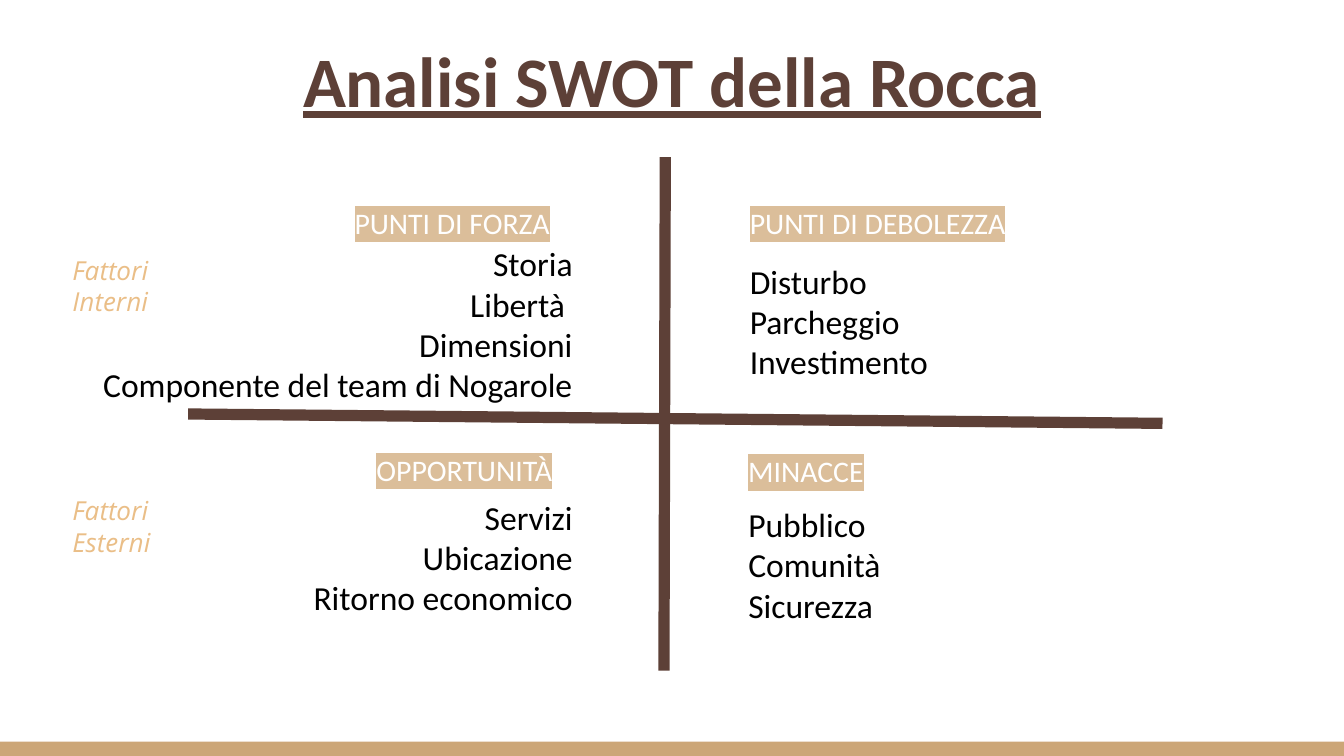
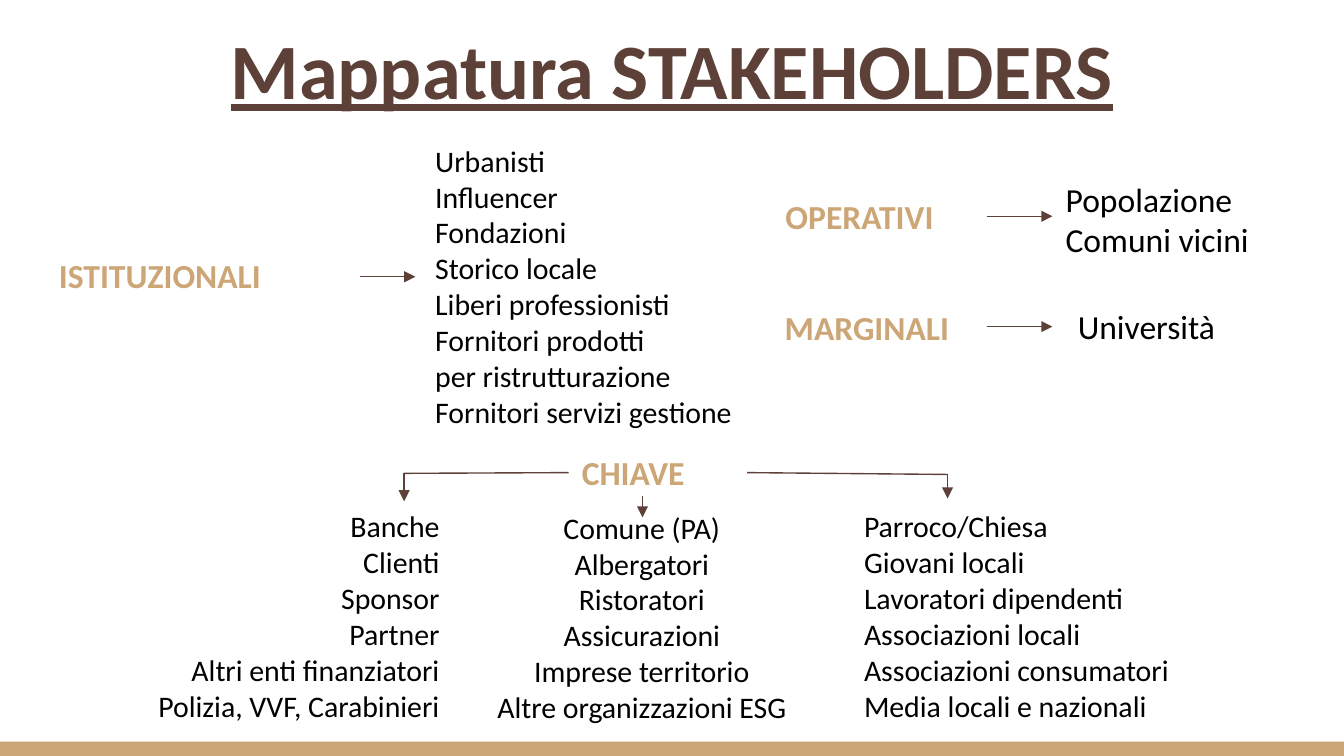
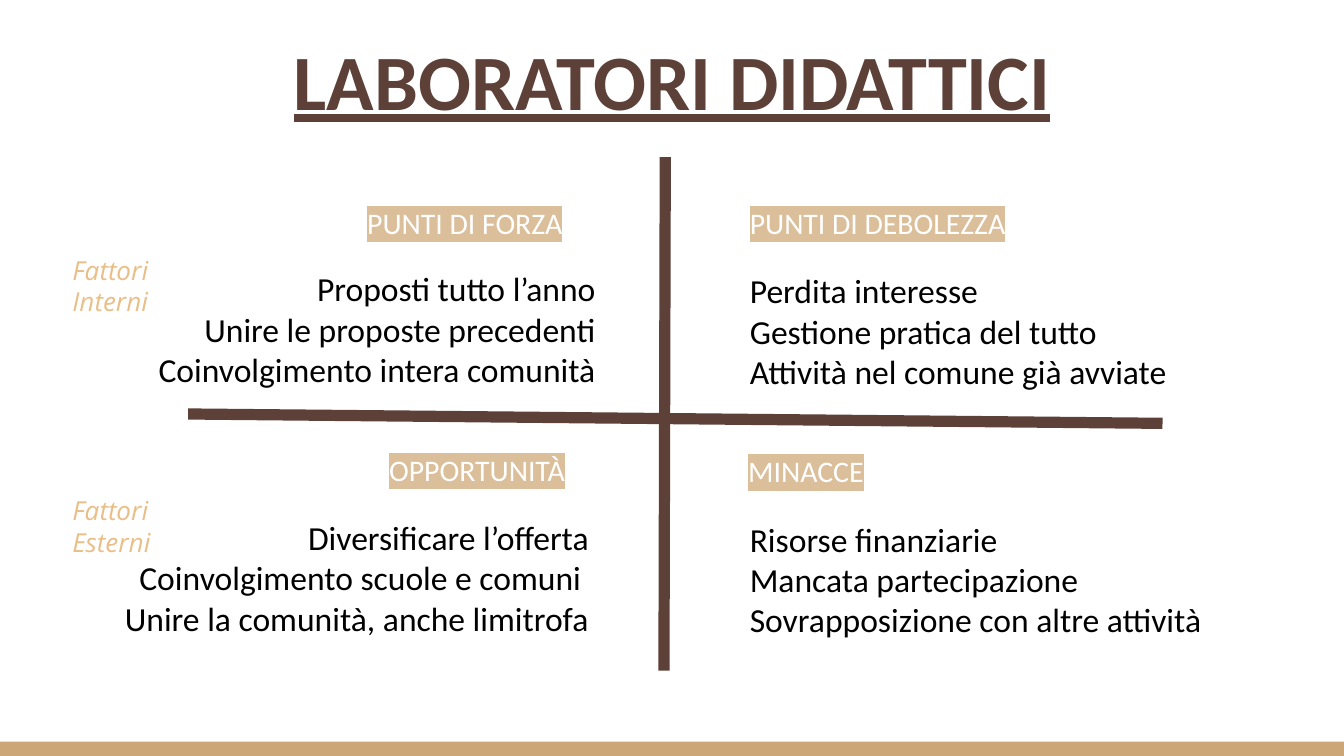
from pptx import Presentation
from pptx.util import Pt
from pptx.dml.color import RGBColor as Rgb
from pptx.enum.shapes import MSO_SHAPE as Shape, MSO_CONNECTOR as Link
from pptx.enum.text import PP_ALIGN as Align, MSO_ANCHOR as Anchor
from pptx.oxml.ns import qn
from lxml.etree import SubElement as Sub, Element

WIDE, HIGH = 720, 405
BROWN, GOLD, SAND, PEACH = "5D4037", "CCA677", "DBBE9A", "EABE87"
SIDES = {"l": Align.LEFT, "c": Align.CENTER, "r": Align.RIGHT}
ROWS = {"t": Anchor.TOP, "m": Anchor.MIDDLE, "b": Anchor.BOTTOM}

LOOKS = {
    "title": (BROWN, {"name": "Calibri", "size": Pt(42), "bold": True, "underline": True}),
    "small title": (BROWN, {"name": "Calibri", "size": Pt(38), "bold": True, "underline": True}),
    "label": ("FFFFFF", {"name": "Calibri", "size": Pt(16)}),
    "factor": (PEACH, {"name": "Open Sans", "size": Pt(14), "italic": True}),
    "group": (GOLD, {"name": "Calibri", "size": Pt(18), "bold": True}),
    "item": ("000000", {"name": "Calibri", "size": Pt(18)}),
    "name": ("000000", {"name": "Calibri", "size": Pt(16)}),
}
MARKS = {"label": SAND}

CROSS = [((356.4, 84.2), (355.7, 359.3)), ((100.8, 221.8), (622.8, 226.8))]
FACTORS = [
    (["Fattori", "Interni"], (31.7, 128.9, 71.3, 56.2)),
    (["Fattori", "Esterni"], (31.7, 257.8, 61.2, 56.2)),
]
LABELS = [
    ("PUNTI DI FORZA", (162.7, 102.2, 159.1, 35.3), "c"),
    ("OPPORTUNITÀ", (178.6, 234.7, 140.4, 23), "c"),
    ("PUNTI DI DEBOLEZZA", (394.6, 102.2, 218.9, 30.2), "l"),
    ("MINACCE", (393.8, 235.4, 124.6, 27.4), "l"),
]

ROCCA = {
    "title": "Analisi SWOT della Rocca", "look": "small title", "shift": 0,
    "parts": [
        (["Storia", "Libertà ", "Dimensioni", "Componente del team di Nogarole"],
         (8.6, 133.9, 305.3, 79.2), "r", "m"),
        (["Servizi", "Ubicazione", "Ritorno economico"],
         (108, 265.7, 205.9, 65.5), "r", "m"),
        (["Disturbo", "Parcheggio", "Investimento"],
         (394.6, 132.5, 129.6, 72), "l", "t"),
        (["Pubblico", "Comunità", "Sicurezza"],
         (393.8, 262.8, 104.4, 72), "l", "t"),
    ],
}
LABS = {
    "title": "LABORATORI DIDATTICI", "look": "title", "shift": 6.8,
    "parts": [
        (["Proposti tutto l’anno", "Unire le proposte precedenti",
          "Coinvolgimento intera comunità"],
         (41.8, 132.5, 284.4, 87.1), "r", "m"),
        (["Diversificare l’offerta", "Coinvolgimento scuole e comuni ",
          "Unire la comunità, anche limitrofa"],
         (24.5, 265.7, 298.1, 87.1), "r", "m"),
        (["Perdita interesse", "Gestione pratica del tutto",
          "Attività nel comune già avviate"],
         (394.6, 137.5, 284.4, 87.1), "l", "t"),
        (["Risorse finanziarie", "Mancata partecipazione",
          "Sovrapposizione con altre attività"],
         (394.6, 270.7, 290.9, 72), "l", "t"),
    ],
}

GROUPS = [
    (["ISTITUZIONALI"], (24.5, 129.6, 164.9, 36.7), "group", "l", "t"),
    (["OPERATIVI"], (392.4, 96.5, 136.1, 38.9), "group", "c", "m"),
    (["MARGINALI"], (400.3, 157, 128.2, 36.7), "group", "c", "t"),
    (["CHIAVE"], (304.6, 234.7, 95.8, 36.7), "group", "l", "t"),
    (["Popolazione", "Comuni vicini"], (563.8, 88.6, 139, 55.4), "item", "l", "t"),
    (["Università"], (563.8, 159.1, 100.8, 31.7), "item", "c", "m"),
    (["Urbanisti", "Influencer", "Fondazioni", "Storico locale",
      "Liberi professionisti", "Fornitori prodotti", "per ristrutturazione",
      "Fornitori servizi gestione"], (226.1, 69.1, 211, 162), "name", "l", "t"),
    (["Banche", "Clienti", "Sponsor", "Partner", "Altri enti finanziatori",
      "Polizia, VVF, Carabinieri"], (48.2, 265, 194.4, 138.2), "name", "r", "t"),
    (["Comune (PA)", "Albergatori", "Ristoratori", "Assicurazioni",
      "Imprese territorio", "Altre organizzazioni ESG"],
     (232.6, 265.7, 222.5, 136.1), "name", "c", "t"),
    (["Parroco/Chiesa", "Giovani locali", "Lavoratori dipendenti",
      "Associazioni locali", "Associazioni consumatori",
      "Media locali e nazionali"], (455.8, 265, 205.9, 127.4), "name", "l", "t"),
]
ARROWS = [
    ((193, 148.3), (222.5, 148.3)),
    ((528.5, 115.9), (563.8, 115.9)),
    ((528.5, 175), (563.8, 175)),
    ((216.5, 253.6), (216.5, 268.6)),
    ((344.2, 265.7), (344.2, 277.2)),
    ((507.6, 254.2), (507.6, 267.1)),
]
ARMS = [((304.6, 253.2), (216.5, 253.6)), ((400.3, 253.2), (507.6, 254.2))]


def tint(code):
    return Rgb.from_string(code)


def write(slide, lines, box, look, side="l", row="t"):
    frame = slide.shapes.add_textbox(*map(Pt, box)).text_frame
    form = {"word_wrap": True, "vertical_anchor": ROWS[row]}
    form.update({"margin_" + edge: Pt(7.2) for edge in ("left", "right", "top", "bottom")})
    for key, val in form.items():
        setattr(frame, key, val)
    color, font = LOOKS[look]
    for i, line in enumerate(lines):
        para = frame.add_paragraph() if i else frame.paragraphs[0]
        para.alignment = SIDES[side]
        run = para.add_run()
        run.text = line
        for key, val in font.items():
            setattr(run.font, key, val)
        run.font.color.rgb = tint(color)
        if look in MARKS:
            mark = Element(qn("a:highlight"))
            Sub(mark, qn("a:srgbClr"), val=MARKS[look])
            run.font._element.find(qn("a:solidFill")).addnext(mark)


def draw(slide, start, end, width, head=False):
    link = slide.shapes.add_connector(Link.STRAIGHT, *map(Pt, start + end))
    link.line.color.rgb = tint(BROWN)
    link.line.width = Pt(width)
    if head:
        Sub(link.line._get_or_add_ln(), qn("a:tailEnd"), type="triangle")
    Sub(link._element.spPr, qn("a:effectLst"))


def start(deck, title, look, top=9.4, row="m"):
    slide = deck.slides.add_slide(deck.slide_layouts[6])
    band = slide.shapes.add_shape(Shape.RECTANGLE, 0, Pt(HIGH - 7.6), Pt(WIDE), Pt(7.6))
    band.shadow.inherit = False
    band.fill.solid()
    band.fill.fore_color.rgb = tint(GOLD)
    band.line.fill.background()
    write(slide, [title], (24.5, top, WIDE - 49, 65.5), look, "c", row)
    return slide


def swot(deck, data):
    slide = start(deck, data["title"], data["look"])
    for ends in CROSS:
        draw(slide, *ends, 6)
    for lines, box, side, row in data["parts"]:
        write(slide, lines, box, "item", side, row)
    for text, (left, *rest), side in LABELS:
        move = data["shift"] if side == "c" else 0
        write(slide, [text], (left + move, *rest), "label", side)
    for lines, box in FACTORS:
        write(slide, lines, box, "factor")


def chart(deck):
    slide = start(deck, "Mappatura STAKEHOLDERS", "title", 3.6, "b")
    for group in GROUPS:
        write(slide, *group)
    for ends in ARMS:
        draw(slide, *ends, 0.75)
    for ends in ARROWS:
        draw(slide, *ends, 0.75, True)


def main():
    deck = Presentation()
    deck.slide_width, deck.slide_height = Pt(WIDE), Pt(HIGH)
    swot(deck, ROCCA)
    chart(deck)
    swot(deck, LABS)
    deck.save("out.pptx")


if __name__ == "__main__":
    main()
